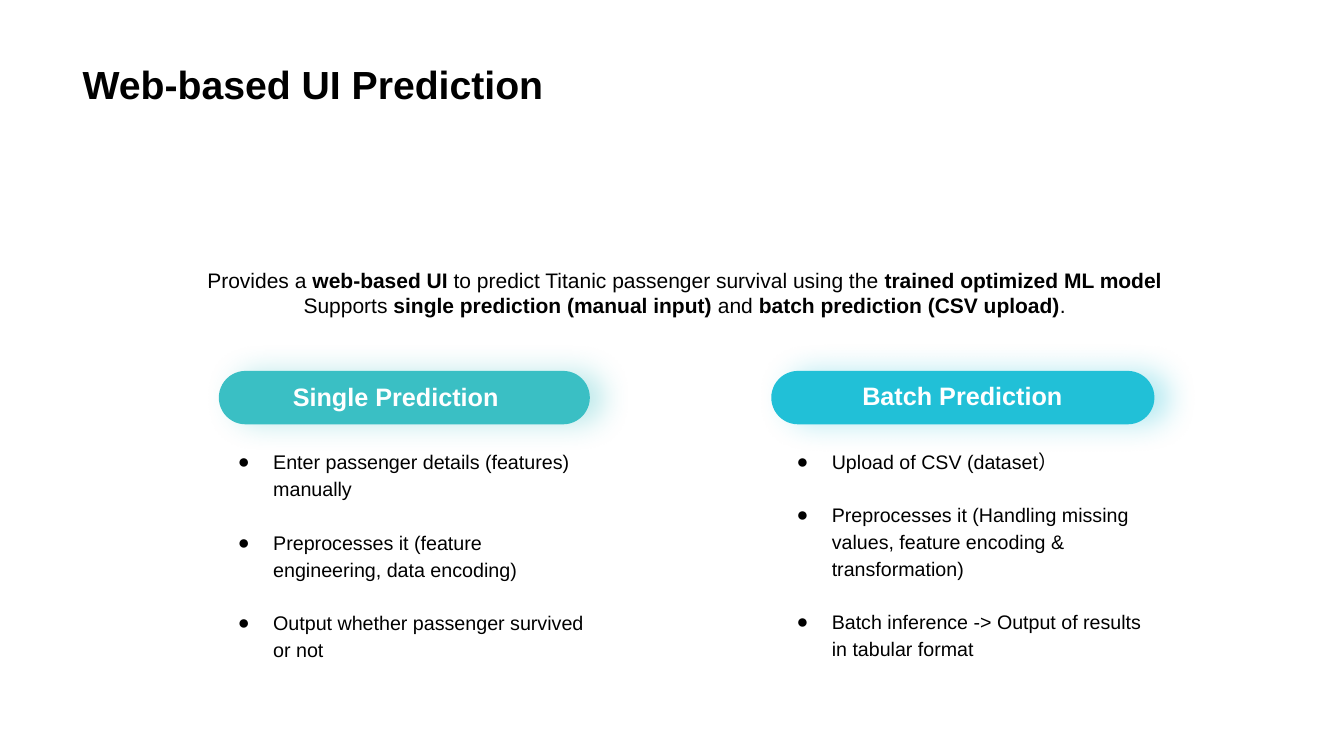
from lxml import etree
from pptx import Presentation
from pptx.dml.color import RGBColor
from pptx.enum.shapes import MSO_SHAPE as Preset
from pptx.enum.text import MSO_ANCHOR as Anchor, MSO_AUTO_SIZE as AutoSize, PP_ALIGN as Align
from pptx.oxml.ns import qn
from pptx.util import Inches, Pt

COLORS = {"text": "000000", "white": "FFFFFF", "single": "3ABFC4", "batch": "21C0D7"}
FONT = "Arial"
TWO_CONTENT_LAYOUT = 3

INTRO = [
    "Provides a **web-based UI** to predict Titanic passenger survival using the "
    "**trained optimized ML model**",
    "Supports **single prediction (manual input)** and **batch prediction (CSV upload)**.",
]
SINGLE_STEPS = [
    "Enter passenger details (features) manually",
    "Preprocesses it (feature engineering, data encoding)",
    "Output whether passenger survived or not",
]
BATCH_STEPS = [
    "Upload of CSV (dataset）",
    "Preprocesses it (Handling missing values, feature encoding & transformation)",
    "Batch inference -> Output of results in tabular format",
]


def place(shape, left, top, width, height):
    shape.left, shape.top = Inches(left), Inches(top)
    shape.width, shape.height = Inches(width), Inches(height)


def add_bullet(paragraph):
    properties = paragraph._p.get_or_add_pPr()
    properties.set("marL", str(Inches(0.5)))
    properties.set("indent", str(Inches(-0.35)))
    color = etree.SubElement(properties, qn("a:buClr"))
    etree.SubElement(color, qn("a:srgbClr"), val=COLORS["text"])
    etree.SubElement(properties, qn("a:buFont"), typeface=FONT)
    etree.SubElement(properties, qn("a:buChar"), char="●")


def write_text(shape, lines, size, color="text", bold=False, align=Align.LEFT,
               anchor=Anchor.MIDDLE, line_spacing=1.0, gap=0, bullets=False):
    """Write one paragraph per line; parts between ** marks are bold."""
    frame = shape.text_frame
    frame.word_wrap = True
    frame.auto_size = AutoSize.NONE
    frame.vertical_anchor = anchor
    for index, line in enumerate(lines):
        paragraph = frame.add_paragraph() if index else frame.paragraphs[0]
        if bullets:
            add_bullet(paragraph)
        paragraph.alignment = align
        paragraph.line_spacing = line_spacing
        paragraph.space_before = Pt(gap if index else 0)
        for part_index, part in enumerate(line.split("**")):
            if part:
                run = paragraph.add_run()
                run.text = part
                run.font.name = FONT
                run.font.size = Pt(size)
                run.font.bold = bold or part_index % 2 == 1
                run.font.color.rgb = RGBColor.from_string(COLORS[color])


def add_glow_shadow(shape, color):
    """Give the shape a soft tinted shadow to its right."""
    shape.shadow.inherit = False
    effects = shape._element.spPr.find(qn("a:effectLst"))
    shadow = etree.SubElement(effects, qn("a:outerShdw"), blurRad=str(Pt(20)),
                              dist=str(Pt(10)), dir="0", algn="ctr", rotWithShape="0")
    tint = etree.SubElement(shadow, qn("a:srgbClr"), val=COLORS[color])
    etree.SubElement(tint, qn("a:alpha"), val="32000")


def add_text_box(slide, box, lines, size, **text_format):
    text_box = slide.shapes.add_textbox(*map(Inches, box))
    write_text(text_box, lines, size, **text_format)


def add_heading(slide, heading, color, pill_box, label_box):
    pill = slide.shapes.add_shape(Preset.ROUNDED_RECTANGLE, *map(Inches, pill_box))
    pill.adjustments[0] = 0.5
    pill.fill.solid()
    pill.fill.fore_color.rgb = RGBColor.from_string(COLORS[color])
    pill.line.fill.background()
    add_glow_shadow(pill, color)
    add_text_box(slide, label_box, [heading], 18, color="white", bold=True,
                 align=Align.CENTER, line_spacing=0.9)


def fill_steps(placeholder, box, steps, size):
    place(placeholder, *box)
    write_text(placeholder, steps, size, anchor=Anchor.TOP, line_spacing=1.15,
               gap=18.5, bullets=True)


def main():
    presentation = Presentation()
    presentation.slide_width, presentation.slide_height = Inches(13.33), Inches(7.5)
    slide = presentation.slides.add_slide(presentation.slide_layouts[TWO_CONTENT_LAYOUT])
    title, single_list, batch_list = slide.placeholders

    place(title, 0.72, 0.14, 11.88, 0.98)
    write_text(title, ["Web-based UI Prediction"], 28, bold=True, anchor=Anchor.BOTTOM)
    add_text_box(slide, (0.85, 2.52, 11.88, 0.76), INTRO, 15, align=Align.CENTER)

    add_heading(slide, "Single Prediction", "single",
                (2.17, 3.68, 3.68, 0.53), (2.67, 3.75, 2.51, 0.4))
    fill_steps(single_list, (2.11, 4.38, 3.8, 1.58), SINGLE_STEPS, 14.1)
    add_heading(slide, "Batch Prediction", "batch",
                (7.65, 3.68, 3.8, 0.53), (8.29, 3.74, 2.51, 0.4))
    fill_steps(batch_list, (7.65, 4.38, 3.8, 1.71), BATCH_STEPS, 14)

    presentation.save("out.pptx")


if __name__ == "__main__":
    main()
